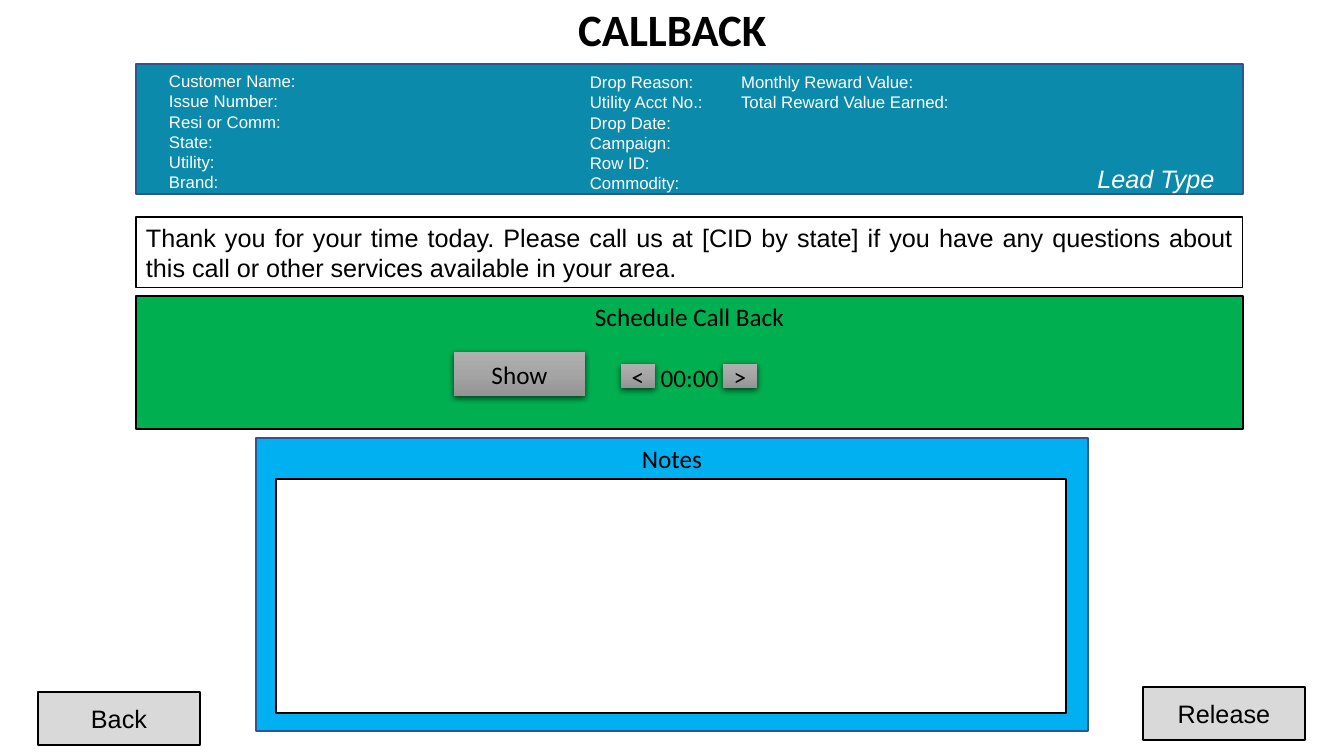
from lxml.etree import SubElement
from pptx import Presentation
from pptx.dml.color import RGBColor
from pptx.enum.shapes import MSO_SHAPE as SHAPE
from pptx.enum.text import MSO_ANCHOR as ANCHOR, PP_ALIGN as ALIGN
from pptx.oxml.ns import qn
from pptx.util import Pt

PX = 914400 / 100.8
COLORS = {
    "black": "000000", "white": "FFFFFF", "gray": "D9D9D9", "green": "00B050",
    "blue": "00B0F0", "teal": "0C8AAC", "navy": "325491",
    "metal_top": "AFAFAF", "metal_mid": "A5A5A5", "metal_low": "939393",
}
BODY = {"name": "Arial", "size": Pt(18)}
LABEL = {"name": "Calibri", "size": Pt(18)}
FIELD = {"name": "Arial", "size": Pt(12)}
LEAD = {"name": "Arial", "size": Pt(18), "italic": True}
TITLE = {"name": "Calibri", "size": Pt(32), "bold": True}

CUSTOMER_FIELDS = ["Customer Name:", "Issue Number:", "Resi or Comm:",
                   "State:", "Utility:", "Brand:"]
DROP_FIELDS = ["Drop Reason:\tMonthly Reward Value:",
               "Utility Acct No.:\tTotal Reward Value Earned:",
               "Drop Date:", "Campaign:", "Row ID:", "Commodity:"]


def emu(*lengths):
    """Turn pixel lengths into EMU."""
    return [round(n * PX) for n in lengths]


def rgb(name):
    """Look up a named colour."""
    return RGBColor.from_string(COLORS[name])


def write(s, lines, font, color="black", align=ALIGN.CENTER, anchor=ANCHOR.TOP):
    """Fill a shape with one formatted paragraph per line."""
    tf = s.text_frame
    tf.word_wrap = True
    tf.vertical_anchor = anchor
    for i, line in enumerate(lines):
        p = tf.add_paragraph() if i else tf.paragraphs[0]
        p.alignment = align
        r = p.add_run()
        r.text = line
        for key, value in font.items():
            setattr(r.font, key, value)
        r.font.color.rgb = rgb(color)
    return tf


def add_rect(slide, box, fill=None, line=None, width=1):
    """Add a flat rectangle."""
    s = slide.shapes.add_shape(SHAPE.RECTANGLE, *emu(*box))
    s.shadow.inherit = False
    if fill:
        s.fill.solid()
        s.fill.fore_color.rgb = rgb(fill)
    else:
        s.fill.background()
    if line:
        s.line.color.rgb = rgb(line)
        s.line.width = Pt(width)
    else:
        s.line.fill.background()
    return s


def add_text(slide, box, lines, font, color, align):
    """Add a text box."""
    return write(slide.shapes.add_textbox(*emu(*box)), lines, font, color, align)


def add_title(slide, box, text):
    """Place and format the title placeholder."""
    s = slide.shapes.title
    s.left, s.top, s.width, s.height = emu(*box)
    tf = write(s, [text], TITLE, anchor=ANCHOR.MIDDLE)
    tf.paragraphs[0].line_spacing = 0.9


def add_button(slide, box, text):
    """Add a flat gray navigation button."""
    s = add_rect(slide, box, "gray", "black")
    write(s, [text], BODY, anchor=ANCHOR.MIDDLE)


def add_metal_button(slide, box, text):
    """Add a shaded button with a soft drop shadow."""
    s = add_rect(slide, box)
    s.fill.gradient()
    s.fill.gradient_angle = 270
    spPr = s.element.spPr
    stops = spPr.find(qn("a:gradFill")).find(qn("a:gsLst"))
    for stop in list(stops):
        stops.remove(stop)
    for i, name in enumerate(("metal_top", "metal_mid", "metal_low")):
        stop = SubElement(stops, qn("a:gs"), pos=str(i * 50000))
        SubElement(stop, qn("a:srgbClr"), val=COLORS[name])
    shadow = SubElement(spPr.find(qn("a:effectLst")), qn("a:outerShdw"),
                        blurRad=str(Pt(4.5)), dist=str(Pt(1.5)),
                        dir="5400000", algn="ctr", rotWithShape="0")
    color = SubElement(shadow, qn("a:srgbClr"), val=COLORS["black"])
    SubElement(color, qn("a:alpha"), val="63000")
    write(s, [text], LABEL, anchor=ANCHOR.MIDDLE)


def add_customer(slide, box):
    """Add the customer panel with its fields and lead type."""
    x, y, w, h = box
    add_rect(slide, box, "teal", "navy")
    for dx, dy, width, lines in ((23, 2, 226, CUSTOMER_FIELDS),
                                 (444, 3, 475, DROP_FIELDS)):
        add_text(slide, (x + dx, y + dy, width, 132), lines, FIELD,
                 "white", ALIGN.LEFT)
    add_text(slide, (x + w - 162, y + h - 36, 150, 40), ["Lead Type"], LEAD,
             "white", ALIGN.CENTER)


def add_script(slide, box, text):
    """Add the outlined closing script."""
    s = add_rect(slide, box, line="black", width=0.75)
    write(s, [text], BODY, align=ALIGN.JUSTIFY)


def add_schedule(slide, box):
    """Add the call back panel with its time picker."""
    x, y, w, h = box
    s = add_rect(slide, box, "green", "black")
    tf = write(s, ["Schedule Call Back", "00:00"], LABEL)
    tf.paragraphs[1].space_before = Pt(22)
    add_metal_button(slide, (x + 318, y + 56, 131, 44), "Show")
    for dx, sign in ((485, "<"), (587, ">")):
        add_metal_button(slide, (x + dx, y + 68, 34, 24), sign)


def add_notes(slide, box):
    """Add the notes panel with its blank entry field."""
    x, y, w, h = box
    write(add_rect(slide, box, "blue", "navy"), ["Notes"], LABEL)
    add_rect(slide, (x + 20, y + 41, w - 42, h - 59), "white", "black")


def main():
    """Build the callback slide."""
    prs = Presentation()
    prs.slide_width, prs.slide_height = emu(1344, 756)
    slide = prs.slides.add_slide(prs.slide_layouts[5])
    add_title(slide, (93, -1, 1159, 66), "CALLBACK")
    add_script(slide, (136, 217, 1107, 71),
               "Thank you for your time today. Please call us at [CID by state] "
               "if you have any questions about this call or other services "
               "available in your area.")
    add_schedule(slide, (136, 296, 1107, 133))
    add_notes(slide, (256, 438, 832, 293))
    add_customer(slide, (136, 64, 1107, 130))
    add_button(slide, (1143, 687, 162, 53), "Release")
    add_button(slide, (38, 692, 162, 53), "Back")
    prs.save("out.pptx")


if __name__ == "__main__":
    main()
